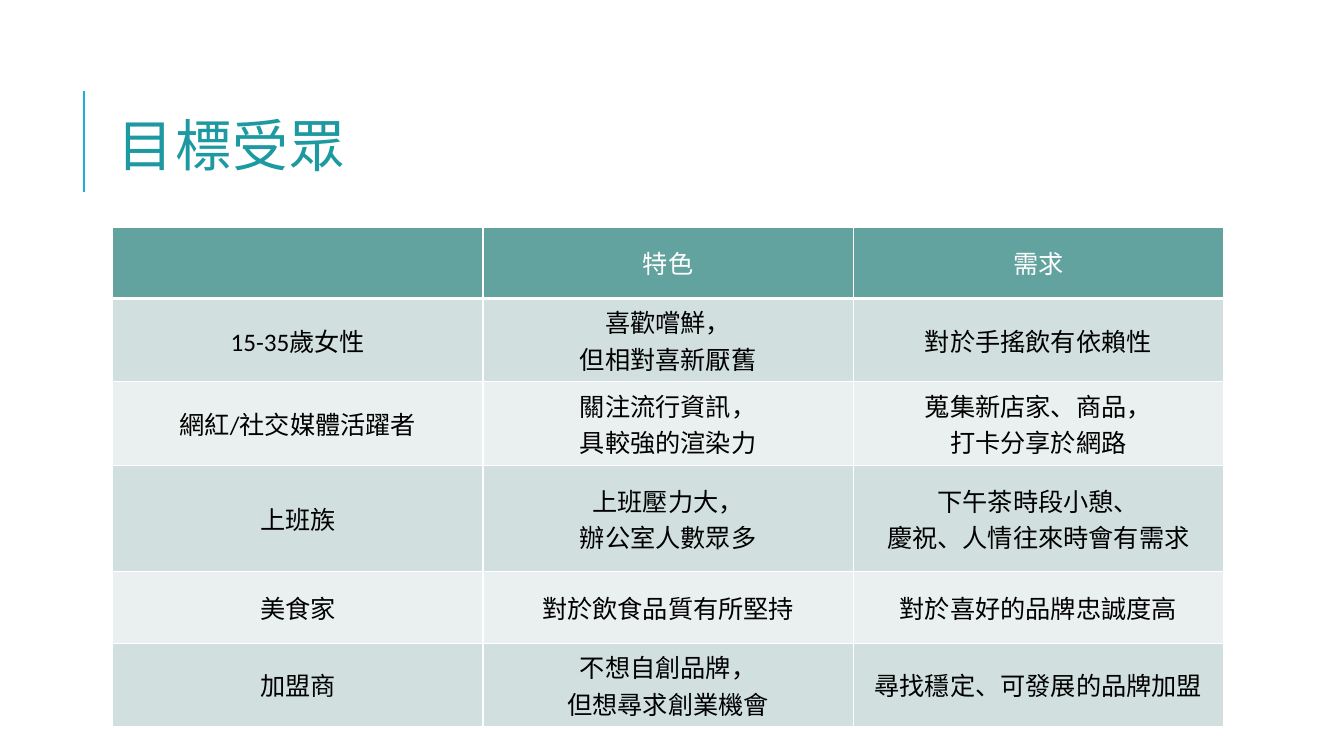
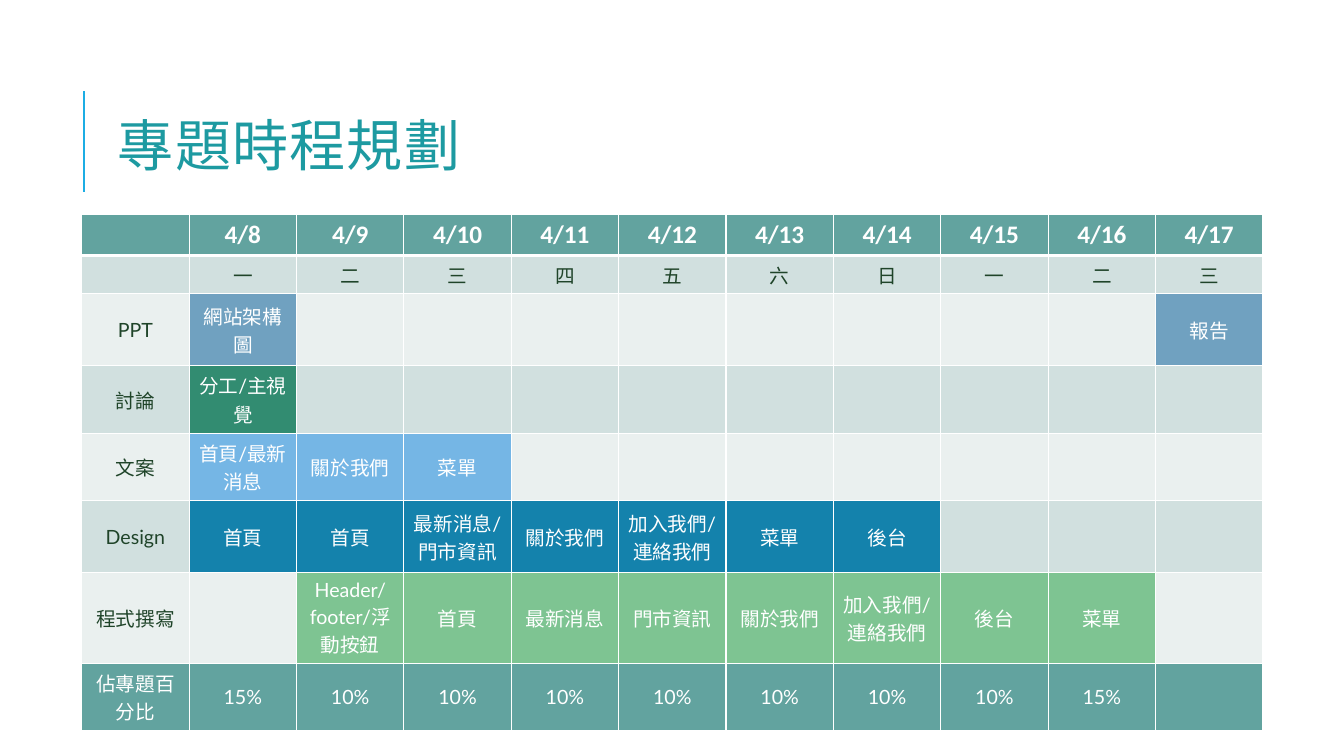
from itertools import groupby

from lxml import etree
from pptx import Presentation
from pptx.dml.color import RGBColor
from pptx.enum.shapes import MSO_CONNECTOR
from pptx.enum.text import MSO_ANCHOR, PP_ALIGN
from pptx.oxml.ns import qn
from pptx.util import Cm, Pt

STRAIGHT = MSO_CONNECTOR.STRAIGHT
MIDDLE = MSO_ANCHOR.MIDDLE
CENTER = PP_ALIGN.CENTER

COLORS = {
    "white": "FFFFFF", "black": "000000", "ink": "1F4429",
    "title": "1D9AA1", "rule": "1CADE4", "header": "62A39F",
    "light": "EAF0EF", "dark": "D1E0DF",
    "slides": "70A1C0", "talk": "328C71", "copy": "75B6E5",
    "design": "1482AC", "code": "7EC492",
}
BANDS = ["light", "dark"]
INSET = Cm(0.13)
PLAIN_TABLE = "{2D5ABB26-0587-4C30-8999-92F81FD0307C}"

audience = [
    ["", "特色", "需求"],
    ["15-35歲女性", "喜歡嚐鮮，\n但相對喜新厭舊", "對於手搖飲有依賴性"],
    ["網紅/社交媒體活躍者", "關注流行資訊，\n具較強的渲染力", "蒐集新店家、商品，\n打卡分享於網路"],
    ["上班族", "上班壓力大，\n辦公室人數眾多", "下午茶時段小憩、\n慶祝、人情往來時會有需求"],
    ["美食家", "對於飲食品質有所堅持", "對於喜好的品牌忠誠度高"],
    ["加盟商", "不想自創品牌，\n但想尋求創業機會", "尋找穩定、可發展的品牌加盟"],
]
schedule = [
    [""] + [f"4/{day}" for day in range(8, 18)],
    [""] + list("一二三四五六日一二三"),
    ["PPT", "網站架構圖"] + [""] * 8 + ["報告"],
    ["討論", "分工/主視覺"] + [""] * 9,
    ["文案", "首頁/最新消息", "關於我們", "菜單"] + [""] * 7,
    ["Design", "首頁", "首頁", "最新消息/\n門市資訊", "關於我們",
     "加入我們/\n連絡我們", "菜單", "後台", "", "", ""],
    ["程式撰寫", "", "Header/footer/浮動按鈕", "首頁", "最新消息", "門市資訊",
     "關於我們", "加入我們/\n連絡我們", "後台", "菜單", ""],
    ["佔專題百分比", "15%"] + ["10%"] * 7 + ["15%", ""],
]

pages = [
    dict(title="目標受眾", rows=audience, left=2.84, top=5.72, width=27.99,
         heights=[1.8, 2.1, 2.1, 2.69, 1.8, 2.1],
         size=18, ink="black", latin="Calibri", header_font="Lato",
         header_bold=False, task_fills={}, total_row=None),
    dict(title="專題時程規劃", rows=schedule, left=2.06, top=5.41, width=29.77,
         heights=[1.03, 0.96, 1.82, 1.7, 1.7, 1.81, 2.28, 1.71],
         size=14, ink="ink", latin="Lato", header_font="Calibri",
         header_bold=True, total_row=7,
         task_fills={2: "slides", 3: "talk", 4: "copy", 5: "design", 6: "code"}),
]


def rgb(name):
    return RGBColor.from_string(COLORS[name])


def add_borders(cell, widths):
    """Draw white cell borders; widths maps L, R, T, B to points."""
    tcPr = cell._tc.get_or_add_tcPr()
    for side, width in widths.items():
        ln = etree.SubElement(tcPr, qn(f"a:ln{side}"), w=str(Pt(width)))
        fill = etree.SubElement(ln, qn("a:solidFill"))
        etree.SubElement(fill, qn("a:srgbClr"), val=COLORS["white"])


prs = Presentation()
prs.slide_width = Cm(33.87)
prs.slide_height = Cm(19.05)

for page in pages:
    s = prs.slides.add_slide(prs.slide_layouts[6])

    rule = s.shapes.add_connector(STRAIGHT, Cm(2.12), Cm(4.83), Cm(2.12), Cm(2.29))
    rule.line.color.rgb = rgb("rule")
    rule.line.width = Pt(1.5)
    etree.SubElement(rule._element.spPr, qn("a:effectLst"))

    sp = s.shapes.add_textbox(Cm(2.84), Cm(2.24), Cm(27), Cm(2.77))
    tf = sp.text_frame
    tf.word_wrap = True
    tf.vertical_anchor = MIDDLE
    tf.margin_left = tf.margin_right = tf.margin_top = tf.margin_bottom = INSET
    p = tf.paragraphs[0]
    r = p.add_run()
    r.text = page["title"]
    r.font._element.set("spc", "100")
    p.font.name = "Calibri"
    p.font.size = Pt(40)
    p.font.color.rgb = rgb("title")

    rows = page["rows"]
    n_cols = len(rows[0])
    table = s.shapes.add_table(
        len(rows), n_cols, Cm(page["left"]), Cm(page["top"]),
        Cm(page["width"]), Cm(sum(page["heights"]))).table
    table.first_row = table.horz_banding = False
    table._tbl.tblPr.find(qn("a:tableStyleId")).text = PLAIN_TABLE
    for col in table.columns:
        col.width = Cm(page["width"] / n_cols)

    for i, (row, height) in enumerate(zip(rows, page["heights"])):
        table.rows[i].height = Cm(height)
        is_header = i == 0
        for j, text in enumerate(row):
            if is_header or i == page["total_row"]:
                fill = "header"
            elif text and j > 0 and i in page["task_fills"]:
                fill = page["task_fills"][i]
            else:
                fill = BANDS[i % 2]

            cell = table.cell(i, j)
            cell.vertical_anchor = MIDDLE
            cell.margin_left = cell.margin_right = INSET
            cell.margin_top = cell.margin_bottom = INSET
            add_borders(cell, {"L": 1, "R": 1, "T": 3 if i == 1 else 1,
                               "B": 3 if is_header else 1})
            cell.fill.solid()
            cell.fill.fore_color.rgb = rgb(fill)

            tf = cell.text_frame
            for k, line in enumerate(text.split("\n")):
                p = tf.add_paragraph() if k else tf.paragraphs[0]
                p.alignment = CENTER
                p.font.name = page["header_font"] if is_header else "Lato"
                p.font.size = Pt(18 if is_header else page["size"])
                p.font.bold = is_header and page["header_bold"]
                p.font.color.rgb = rgb(page["ink"] if fill in BANDS else "white")
                for is_latin, chars in groupby(line, str.isascii):
                    r = p.add_run()
                    r.text = "".join(chars)
                    if is_latin and not is_header and page["latin"] != "Lato":
                        r.font.name = page["latin"]

prs.save("out.pptx")
